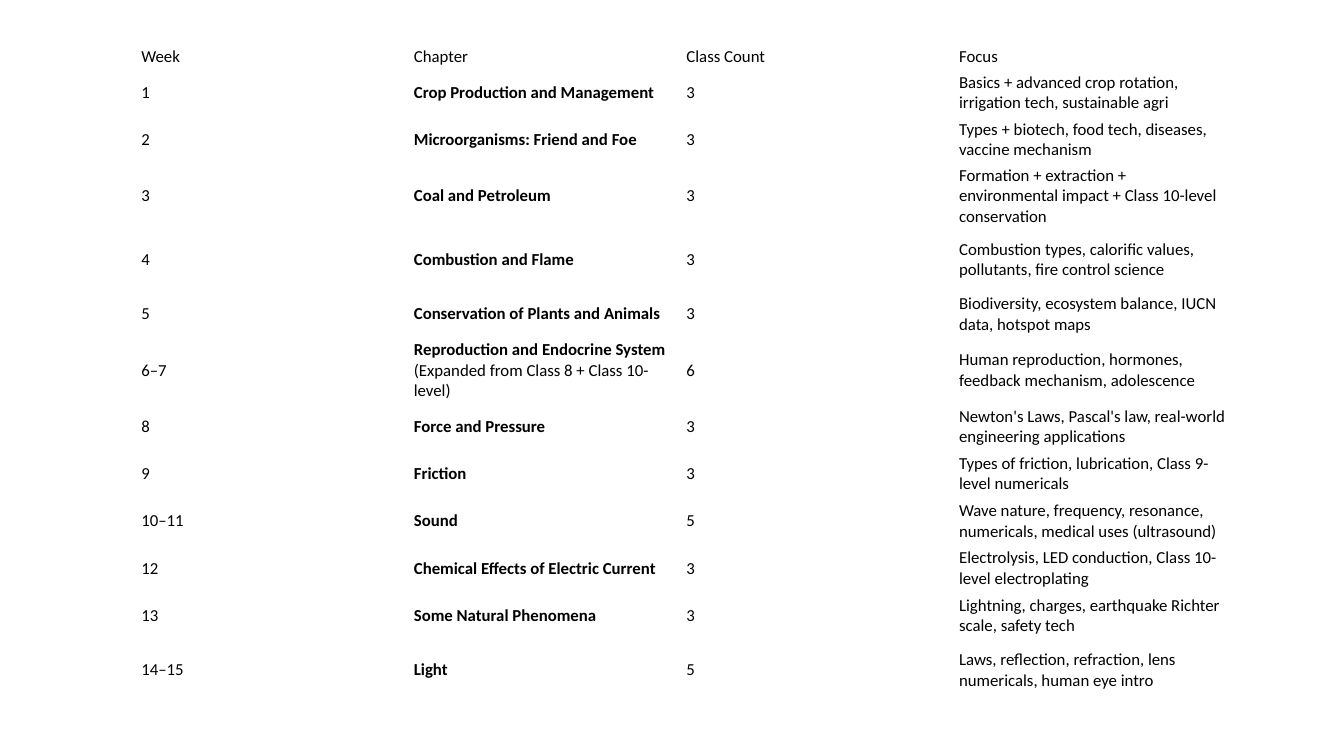
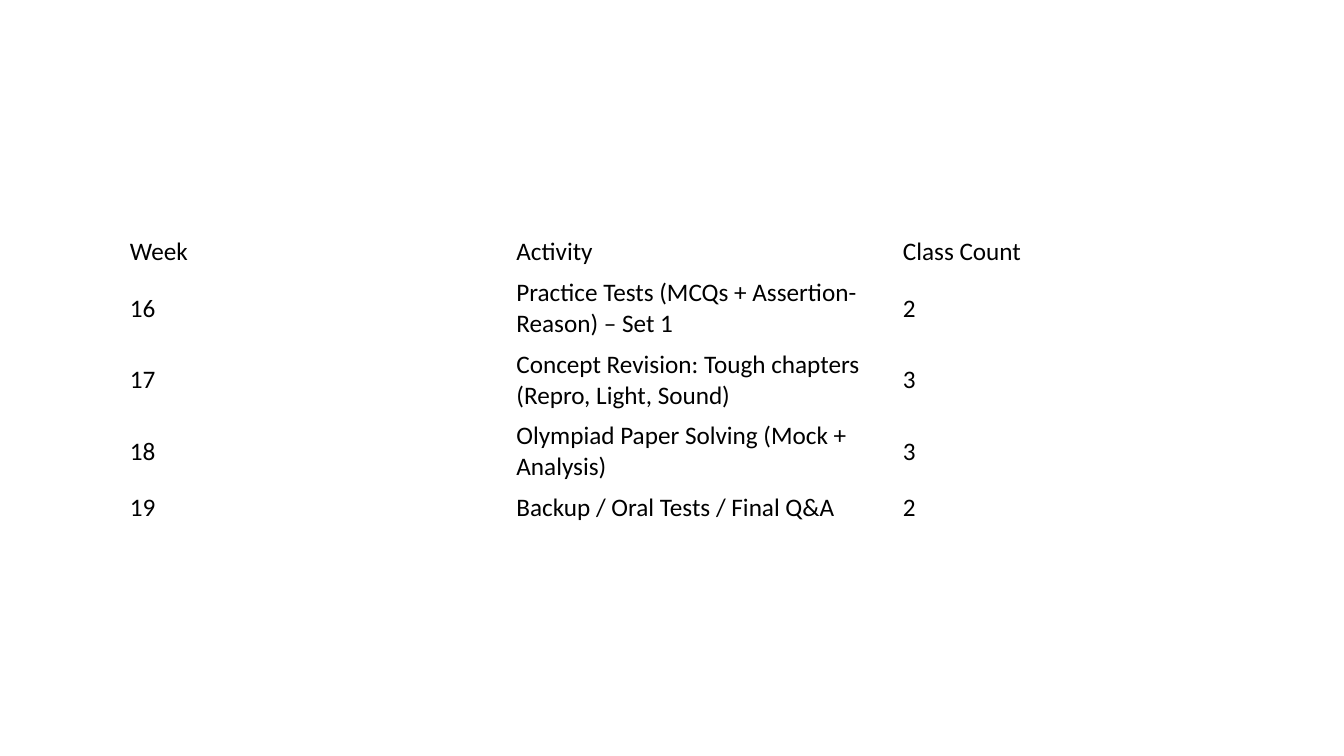
from pptx import Presentation
from pptx.dml.color import RGBColor
from pptx.enum import text
from pptx.util import Cm, Pt

BLACK = RGBColor(0, 0, 0)
FONT = "Calibri"

CHAPTER_COLUMN = 1
CHAPTER_HEADER = ("Week", "Chapter", "Class Count", "Focus")
# Row height in cm, then week, chapter, class count and focus
CHAPTERS = [
    (1.19, "1", "Crop Production and Management", "3",
     "Basics + advanced crop rotation, irrigation tech, sustainable agri"),
    (1.19, "2", "Microorganisms: Friend and Foe", "3",
     "Types + biotech, food tech, diseases, vaccine mechanism"),
    (1.65, "3", "Coal and Petroleum", "3",
     "Formation + extraction + environmental impact + Class 10-level conservation"),
    (1.55, "4", "Combustion and Flame", "3",
     "Combustion types, calorific values, pollutants, fire control science"),
    (1.19, "5", "Conservation of Plants and Animals", "3",
     "Biodiversity, ecosystem balance, IUCN data, hotspot maps"),
    (1.65, "6–7",
     ("Reproduction and Endocrine System", " (Expanded from Class 8 + Class 10-level)"), "6",
     "Human reproduction, hormones, feedback mechanism, adolescence"),
    (1.19, "8", "Force and Pressure", "3",
     "Newton's Laws, Pascal's law, real-world engineering applications"),
    (1.19, "9", "Friction", "3",
     "Types of friction, lubrication, Class 9-level numericals"),
    (1.19, "10–11", "Sound", "5",
     "Wave nature, frequency, resonance, numericals, medical uses (ultrasound)"),
    (1.19, "12", "Chemical Effects of Electric Current", "3",
     "Electrolysis, LED conduction, Class 10-level electroplating"),
    (1.19, "13", "Some Natural Phenomena", "3",
     "Lightning, charges, earthquake Richter scale, safety tech"),
    (1.55, "14–15", "Light", "5",
     "Laws, reflection, refraction, lens numericals, human eye intro"),
]

ACTIVITIES = [
    (1.02, "Week", "Activity", "Class Count"),
    (1.8, "16", "Practice Tests (MCQs + Assertion-Reason) – Set 1", "2"),
    (1.8, "17", "Concept Revision: Tough chapters (Repro, Light, Sound)", "3"),
    (1.8, "18", "Olympiad Paper Solving (Mock + Analysis)", "3"),
    (1.02, "19", "Backup / Oral Tests / Final Q&A", "2"),
]


def write_cell(cell, content, size, bold):
    """Write a string, or a (main, note) pair of which only the main part can be bold."""
    cell.fill.background()
    cell.vertical_anchor = text.MSO_ANCHOR.MIDDLE
    para = cell.text_frame.paragraphs[0]
    para.font.name = FONT
    para.font.size = Pt(size)
    para.font.color.rgb = BLACK
    if isinstance(content, str):
        para.font.bold = bold
        para.add_run().text = content
        return
    for part, part_bold in zip(content, (bold, False)):
        span = para.add_run()
        span.text = part
        span.font.bold = part_bold


def set_margins(cell, side, top):
    cell.margin_left = cell.margin_right = Cm(side)
    cell.margin_top = cell.margin_bottom = Cm(top)


def add_schedule(deck, rows, left, top, column_width, size, margins=None, bold_column=None):
    """Add a slide with a plain table; each row is its height in cm and its cells."""
    slide = deck.slides.add_slide(deck.slide_layouts[6])
    columns = len(rows[0]) - 1
    height = sum(row[0] for row in rows)
    table = slide.shapes.add_table(len(rows), columns, Cm(left), Cm(top),
                                   Cm(column_width * columns), Cm(height)).table
    table.first_row = table.horz_banding = False
    for index, (row_height, *contents) in enumerate(rows):
        table.rows[index].height = Cm(row_height)
        for column, content in enumerate(contents):
            cell = table.cell(index, column)
            if margins:
                set_margins(cell, *margins)
            write_cell(cell, content, size, index > 0 and column == bold_column)


def main():
    deck = Presentation()
    deck.slide_width, deck.slide_height = Cm(33.87), Cm(19.05)
    add_schedule(deck, [(0.62, *CHAPTER_HEADER), *CHAPTERS], left=3.48, top=1.12,
                 column_width=6.87, size=12, margins=(0.08, 0.04),
                 bold_column=CHAPTER_COLUMN)
    add_schedule(deck, ACTIVITIES, left=3.02, top=5.84, column_width=9.74, size=18)
    deck.save("out.pptx")


if __name__ == "__main__":
    main()
